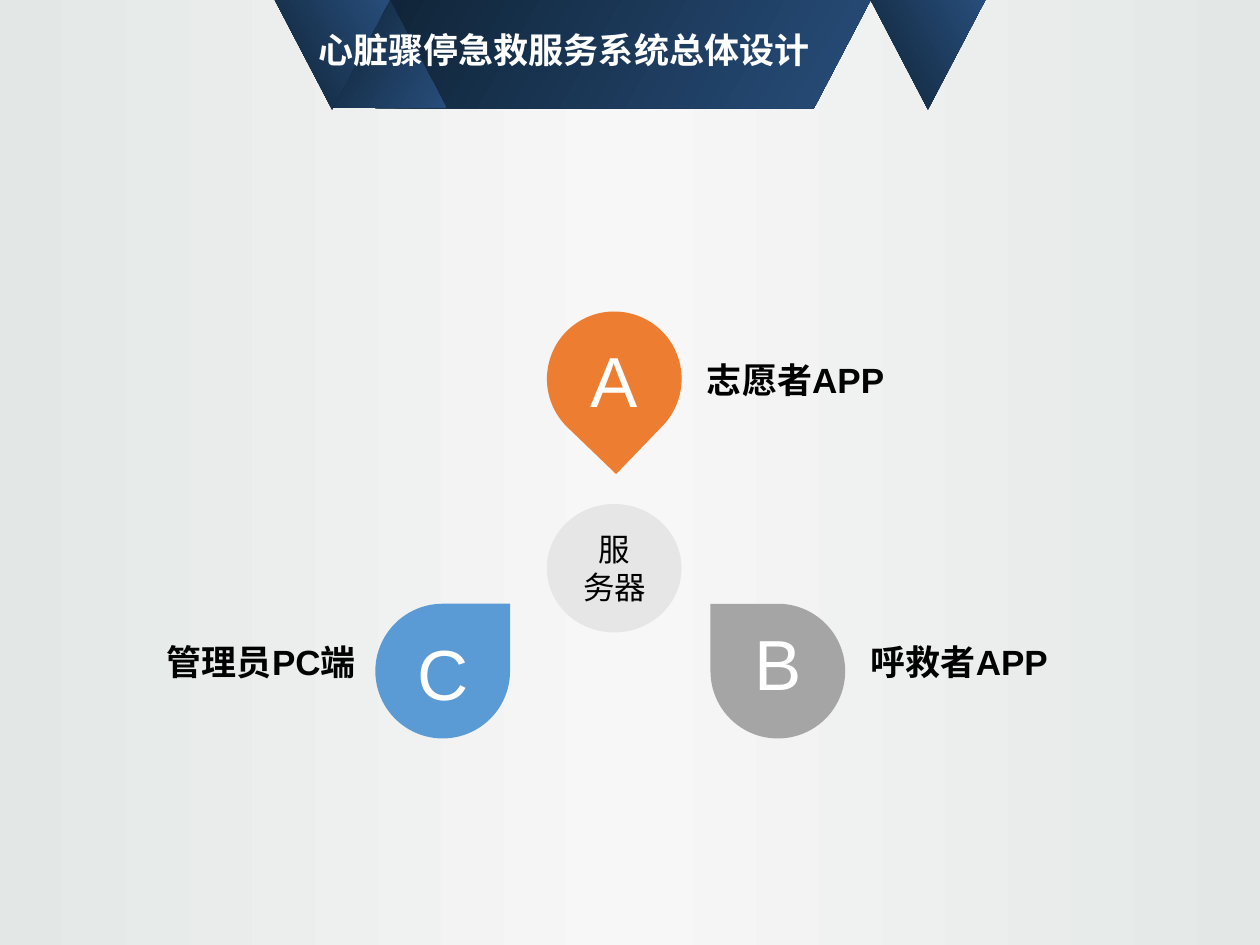
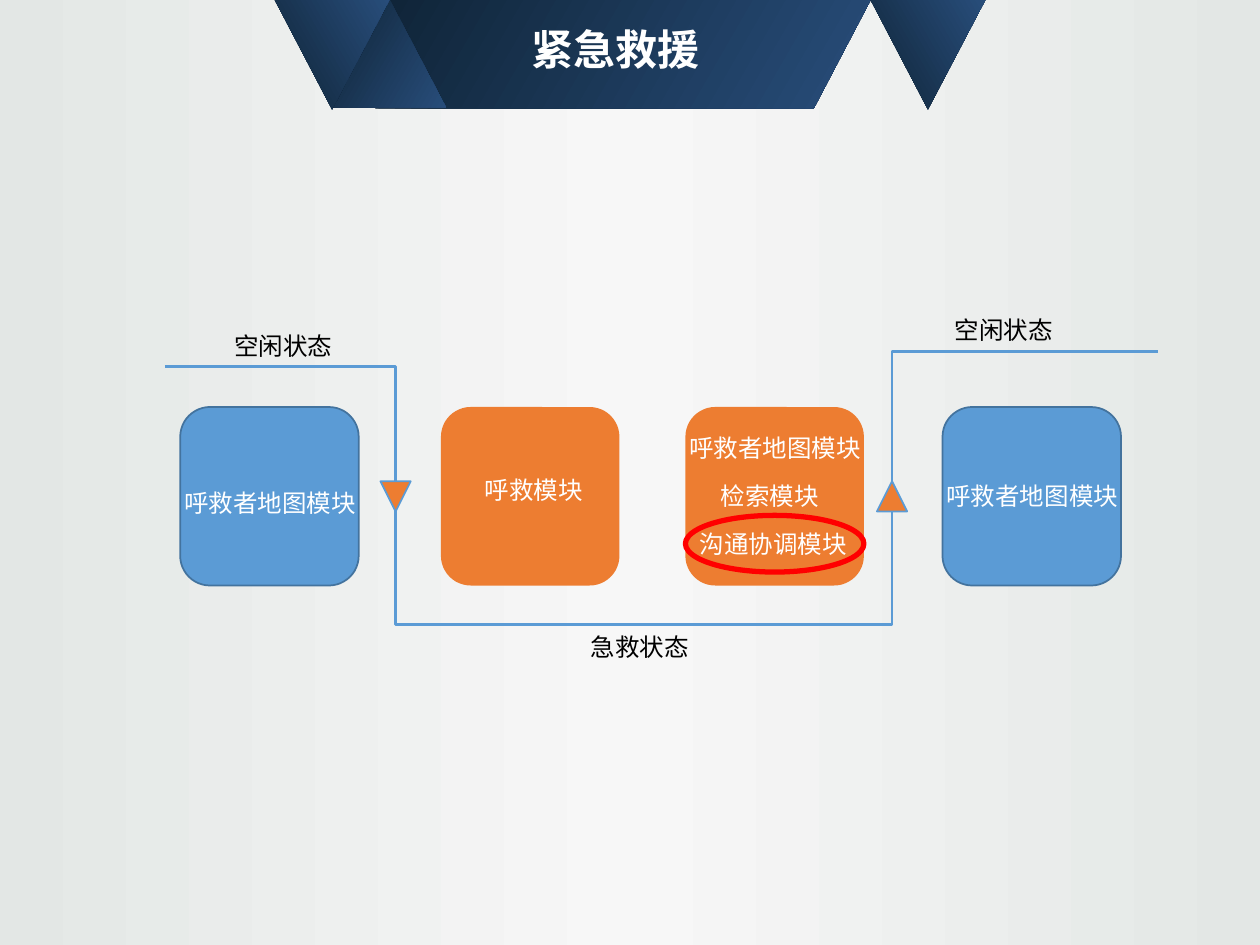
from copy import deepcopy

from lxml.etree import SubElement
from pptx import Presentation
from pptx.dml.color import RGBColor
from pptx.enum.shapes import MSO_CONNECTOR, MSO_SHAPE
from pptx.enum.text import MSO_ANCHOR, PP_ALIGN
from pptx.oxml.ns import qn
from pptx.util import Pt

FONT = "Arial"
NAVY_DARK = RGBColor(0x0F, 0x24, 0x37)
NAVY_LIGHT = RGBColor(0x28, 0x4D, 0x7A)
MIST = RGBColor(0xE3, 0xE7, 0xE5)
PALE = RGBColor(0xF7, 0xF7, 0xF7)
WHITE = RGBColor(0xFF, 0xFF, 0xFF)
BLACK = RGBColor(0, 0, 0)
RED = RGBColor(0xFF, 0, 0)
ORANGE = RGBColor(0xED, 0x7D, 0x31)
GRAY = RGBColor(0xA5, 0xA5, 0xA5)
LIGHT_GRAY = RGBColor(0xE7, 0xE6, 0xE6)
BLUE = RGBColor(0x5B, 0x9B, 0xD5)
BLUE_EDGE = RGBColor(0x43, 0x73, 0x9E)


def add_text(slide, text, box, size=14, color=BLACK, bold=False,
             align=PP_ALIGN.CENTER, anchor=MSO_ANCHOR.TOP, spacing=None):
    frame = slide.shapes.add_textbox(*map(Pt, box)).text_frame
    frame.word_wrap = True
    frame.vertical_anchor = anchor
    frame.text = text
    for paragraph in frame.paragraphs:
        paragraph.alignment = align
        paragraph.line_spacing = spacing
        font = paragraph.runs[0].font
        font.name, font.size, font.bold = FONT, Pt(size), bold
        font.color.rgb = color


def paint(shape, fill=None, line=None, width=1):
    """Flat finish; leaving out fill or line makes it invisible."""
    shape.shadow.inherit = False
    if fill is None:
        shape.fill.background()
    else:
        shape.fill.solid()
        shape.fill.fore_color.rgb = fill
    if line is None:
        shape.line.fill.background()
    else:
        shape.line.color.rgb = line
        shape.line.width = Pt(width)


def add_figure(slide, kind, box, fill=None, line=None, width=1, rotation=0):
    figure = slide.shapes.add_shape(kind, *map(Pt, box))
    paint(figure, fill, line, width)
    figure.rotation = rotation
    return figure


def set_gradient(fill, first, last, angle):
    fill.gradient()
    fill.gradient_angle = angle
    for stop, color in zip(fill.gradient_stops, (first, last)):
        stop.color.rgb = color


def add_backdrop(slide):
    fill = slide.background.fill
    set_gradient(fill, MIST, PALE, 180)
    fill.gradient_stops[1].position = 0.5
    stops = slide.element.find(".//" + qn("a:gsLst"))
    edge = deepcopy(stops[0])
    edge.set("pos", "100000")
    stops.append(edge)


def add_banner(slide, left=157):
    fold_w, fold_h = 65.5, 62.6
    right = left + 340.5
    outline = slide.shapes.build_freeform(Pt(left + 57.5), 0)
    outline.add_line_segments([(Pt(right), 0), (Pt(right - 32.5), Pt(62)),
                               (Pt(left + 57.5), Pt(62))])
    parts = [outline.convert_to_shape()]
    for x, y, flipped in ((left + 32.5, -1, False), (left, 0, True), (right, 0, True)):
        fold = add_figure(slide, MSO_SHAPE.ISOSCELES_TRIANGLE, (x, y, fold_w, fold_h))
        if flipped:
            fold.element.spPr.xfrm.set("flipV", "1")
        parts.append(fold)
    for part in parts:
        paint(part)
        set_gradient(part.fill, NAVY_DARK, NAVY_LIGHT, 330)


def add_page(deck, title, title_left, title_width, title_size):
    slide = deck.slides.add_slide(deck.slide_layouts[6])
    add_backdrop(slide)
    add_banner(slide)
    add_text(slide, title, (title_left, 5, title_width, 49), title_size, WHITE,
             bold=True, anchor=MSO_ANCHOR.MIDDLE, spacing=0.9)
    return slide


def add_client(slide, left, top, letter, role, color, rotation,
               letter_dy, role_dy, role_on_left=False):
    """Lettered drop with its role written beside it."""
    drop, role_w = 77, 130.3
    add_figure(slide, MSO_SHAPE.TEAR, (left, top, drop, drop), color, rotation=rotation)
    add_text(slide, letter, (left + 9.6, top + letter_dy, 58, 60.5), 40.5, WHITE,
             anchor=MSO_ANCHOR.MIDDLE)
    role_left = left - role_w if role_on_left else left + drop
    add_text(slide, role, (role_left, top + role_dy, role_w, 32), 20,
             bold=True, anchor=MSO_ANCHOR.MIDDLE)


def add_server(slide, left, top):
    add_figure(slide, MSO_SHAPE.OVAL, (left, top, 77, 73.4), LIGHT_GRAY)
    add_text(slide, "服\n务器", (left + 3, top + 11.5, 71.3, 51), 18)


def build_architecture(deck):
    slide = add_page(deck, " 心脏骤停急救服务系统总体设计", 157, 326, 20)
    add_client(slide, 214.5, 345, "C", "管理员PC端", BLUE, 0, 8.6, 17, role_on_left=True)
    add_client(slide, 406, 345, "B", "呼救者APP", GRAY, 270, 2.9, 17)
    add_client(slide, 312.5, 178, "A", "志愿者APP", ORANGE, 133.9, 8.6, 23)
    add_server(slide, 312.5, 288)


def add_module(slide, left, top, fill, edge, captions):
    """Rounded tile; each caption is its text, offset, width and alignment."""
    add_figure(slide, MSO_SHAPE.ROUNDED_RECTANGLE, (left, top, 102, 102), fill, edge)
    for text, dx, dy, width, align in captions:
        add_text(slide, text, (left + dx, top + dy, width, 24), color=WHITE, align=align)


def add_state_step(slide, start, end, arrow_rotation):
    """Elbow line between two states with an arrow on its upright part."""
    line = slide.shapes.add_connector(MSO_CONNECTOR.ELBOW, *map(Pt, start + end))
    line.line.color.rgb = BLUE
    line.line.width = Pt(1.5)
    SubElement(line.element.spPr, qn("a:effectLst"))
    arrow = 17.3
    middle = (start[0] + end[0]) / 2
    add_figure(slide, MSO_SHAPE.ISOSCELES_TRIANGLE,
               (middle - arrow / 2, 275, arrow, arrow), ORANGE, BLUE,
               rotation=arrow_rotation)


def build_rescue(deck):
    slide = add_page(deck, "紧急救援", 256, 191, 24)
    idle_before, rescue, idle_after = (94.3, 209.5), (357.8, 357), (661.7, 201)
    add_state_step(slide, idle_before, rescue, 180)
    add_state_step(slide, rescue, idle_after, 0)

    center, left = PP_ALIGN.CENTER, PP_ALIGN.LEFT
    map_module = "呼救者地图模块"
    modules = (
        (103, BLUE, BLUE_EDGE, [(map_module, -20, 42.5, 142.6, center)]),
        (252, ORANGE, None, [("呼救模块", 18, 35.3, 140, left)]),
        (391.7, ORANGE, None, [(map_module, -20, 11, 142.6, center),
                               ("检索模块", 13, 39, 119.5, left),
                               ("沟通协调模块", -44, 66.4, 188.6, center)]),
        (538.6, BLUE, BLUE_EDGE, [(map_module, -20, 39, 142.6, center)]),
    )
    for x, fill, edge, captions in modules:
        add_module(slide, x, 232.6, fill, edge, captions)
    add_figure(slide, MSO_SHAPE.OVAL, (391.7, 294.5, 102, 32.4), line=RED, width=3)

    for state, x, y in (("空闲状态", 126.7, 185.8), ("急救状态", 330.5, 357.5),
                        ("空闲状态", 538.6, 176.5)):
        add_text(slide, state, (x, y, 92, 24), align=left)


def main():
    deck = Presentation()
    deck.slide_width, deck.slide_height = Pt(720), Pt(540)
    build_architecture(deck)
    build_rescue(deck)
    deck.save("out.pptx")


if __name__ == "__main__":
    main()
